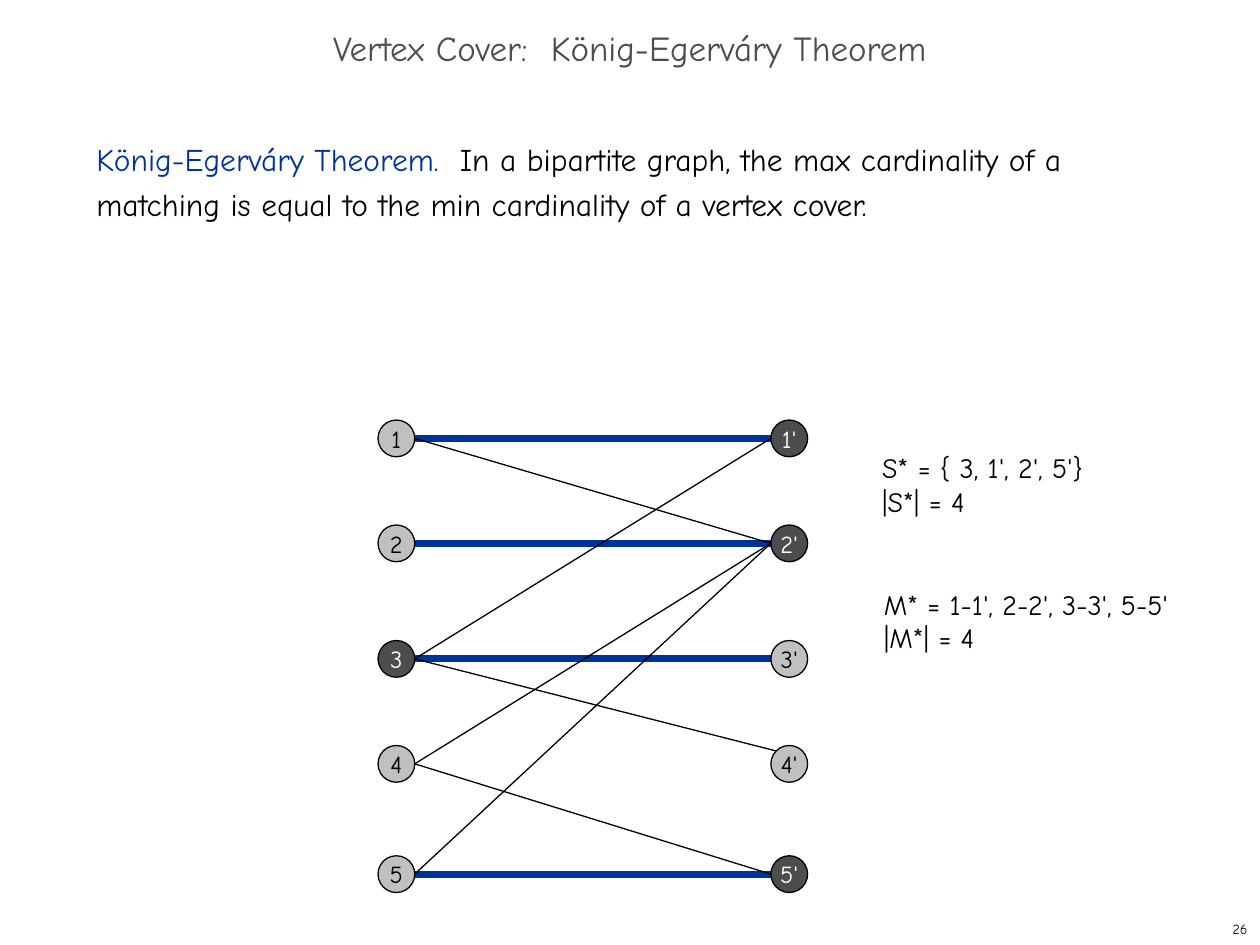
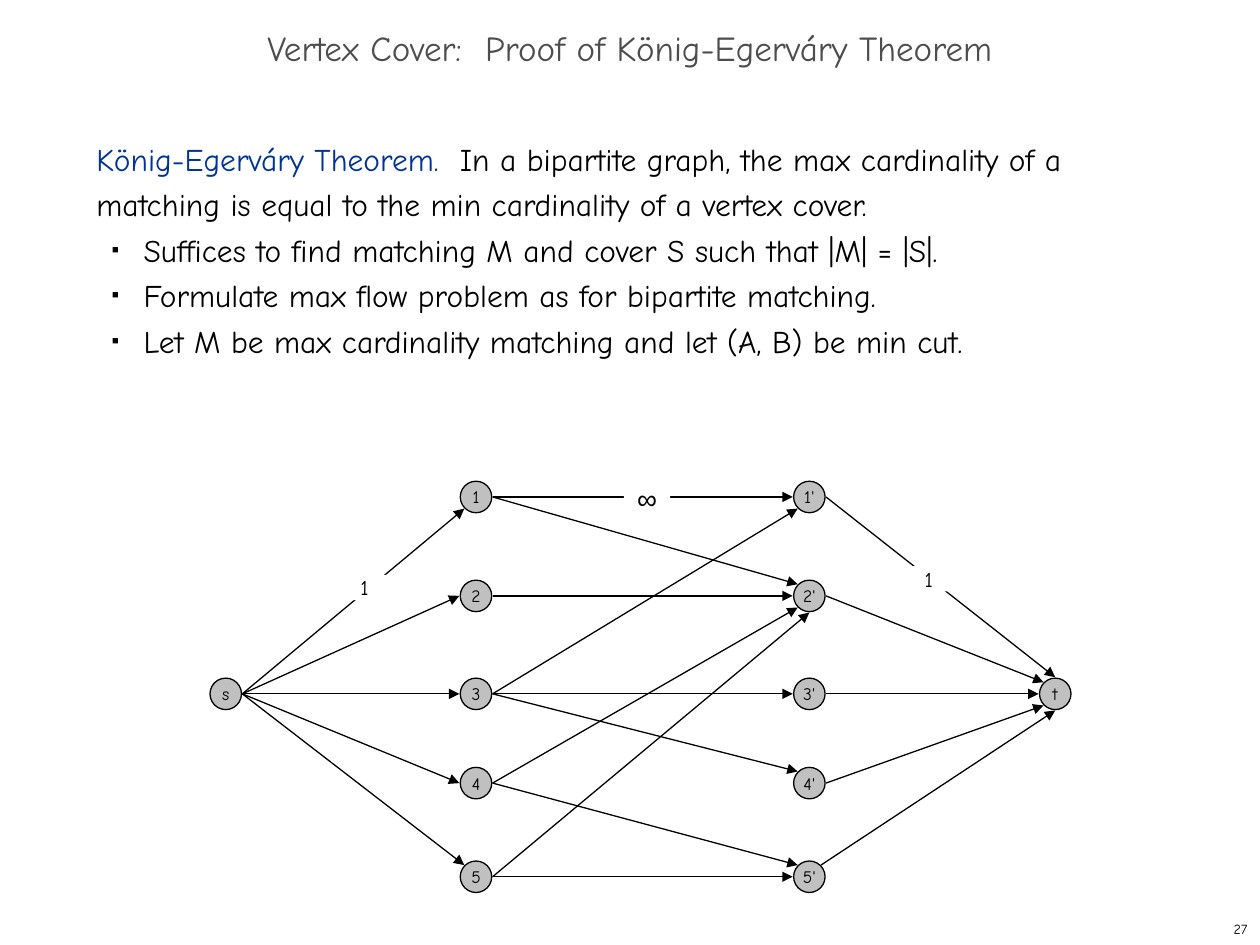
from pptx import Presentation
from pptx import util as u
from pptx.dml.color import RGBColor
from pptx.enum import shapes, text
from pptx.oxml.ns import qn
from lxml import etree

PX = 6350  # EMU per px, 144 px to the inch
FONT = "Comic Neue"
BLACK, WHITE, BLUE, DARK, GREY = "000000", "FFFFFF", "003399", "4D4D4D", "C0C0C0"
LEFT, CENTER, RIGHT = text.PP_ALIGN.LEFT, text.PP_ALIGN.CENTER, text.PP_ALIGN.RIGHT
TOP, MIDDLE = text.MSO_ANCHOR.TOP, text.MSO_ANCHOR.MIDDLE
rgb = RGBColor.from_string

# Points on a circle's rim as fractions of its radius
RIM = {"W": (-1, 0), "E": (1, 0), "N": (0, -1), "S": (0, 1),
       "NW": (-0.7, -0.7), "SW": (-0.7, 0.7), "NE": (0.7, -0.7)}


def write(sp, paras, size, color=BLACK, align=LEFT, anchor=TOP, wrap=True, font=FONT):
    """Fill sp with paragraphs, each a list of (text, colour or None) runs."""
    tf = sp.text_frame
    tf.word_wrap, tf.vertical_anchor = wrap, anchor
    for i, runs in enumerate(paras):
        p = tf.add_paragraph() if i else tf.paragraphs[0]
        p.alignment = align
        for words, tint in runs:
            r = p.add_run()
            r.text = words
            for name, value in {"name": font, "size": u.Pt(size)}.items():
                setattr(r.font, name, value)
            r.font.color.rgb = rgb(tint or color)
    return tf


def link(s, start, end, reach, leave="E", enter="W", color=BLACK, width=0.75, arrow=False):
    """Join two circle centres from rim to rim."""
    ends = [round((c + reach * k) * PX)
            for point, side in ((start, leave), (end, enter))
            for c, k in zip(point, RIM[side])]
    ln = s.shapes.add_connector(shapes.MSO_CONNECTOR.STRAIGHT, *ends)
    ln.line.color.rgb = rgb(color)
    ln.line.width = u.Pt(width)
    if arrow:
        etree.SubElement(ln.line._get_or_add_ln(), qn("a:tailEnd"), type="triangle")
    etree.SubElement(ln._element.spPr, qn("a:effectLst"))


prs = Presentation()
prs.slide_width, prs.slide_height = 1440 * PX, 1080 * PX

THEOREM = [("König-Egerváry Theorem.", BLUE),
           ("  In a bipartite graph, the max cardinality of a matching is equal to "
            "the min cardinality of a vertex cover.", None)]
PROOF = ["Suffices to find matching M and cover S such that |M| = |S|.",
         "Formulate max flow problem as for bipartite matching.",
         "Let M be max cardinality matching and let (A, B) be min cut."]
PAGES = [("Vertex Cover:  König-Egerváry Theorem", [], "26"),
         ("Vertex Cover:  Proof of König-Egerváry Theorem", PROOF, "27")]

# Title, theorem, bullets and page number
slides = []
for title, bullets, number in PAGES:
    s = prs.slides.add_slide(prs.slide_layouts[6])
    slides.append(s)
    box = s.shapes.add_textbox(0, 24 * PX, 1440 * PX, 72 * PX)
    tf = write(box, [[(title, DARK)]], 20, align=CENTER, anchor=MIDDLE)
    tf.paragraphs[0].line_spacing = 0.7

    box = s.shapes.add_textbox(96 * PX, 144 * PX, 1236 * PX, 852 * PX)
    tf = write(box, [THEOREM] + [[(b, None)] for b in bullets], 18)
    for p in tf.paragraphs:
        p.line_spacing = u.Pt(26)
    for p in tf.paragraphs[1:]:
        p.level = 1
        pPr = p._p.get_or_add_pPr()
        pPr.set("marL", str(54 * PX))
        pPr.set("indent", str(-36 * PX))
        tint = etree.SubElement(pPr, qn("a:buClr"))
        etree.SubElement(tint, qn("a:srgbClr"), val=BLACK)
        etree.SubElement(pPr, qn("a:buSzPct"), val="35000")
        etree.SubElement(pPr, qn("a:buFont"), typeface="Arial")
        etree.SubElement(pPr, qn("a:buChar"), char="■")

    box = s.shapes.add_textbox(1140 * PX, 1044 * PX, 300 * PX, 36 * PX)
    write(box, [[(number, None)]], 8, align=RIGHT, anchor=MIDDLE)

cover_slide, flow_slide = slides

# Each edge of the bipartite graph, with the side where its arrow enters
EDGES = [("1", "1'", "W"), ("1", "2'", "NW"), ("2", "2'", "W"), ("3", "3'", "W"),
         ("3", "1'", "SW"), ("3", "4'", "NW"), ("4", "2'", "SW"), ("4", "5'", "NW"),
         ("5", "2'", "S"), ("5", "5'", "W")]
MATCHING = [("1", "1'"), ("2", "2'"), ("3", "3'"), ("5", "5'")]
COVER = ["3", "1'", "2'", "5'"]

# Node centres: two facing columns, plus source and sink for the flow
graphs = []
for left, right, rows in ((453, 902, (501, 621, 753, 873, 999)),
                          (544, 925, (568, 681, 793, 895, 1002))):
    graphs.append({f"{i}{mark}": (x, y) for x, mark in ((left, ""), (right, "'"))
                   for i, y in enumerate(rows, 1)})
cover, flow = graphs
flow |= {"s": (258, 793), "t": (1206, 793)}

# Matching edges are thick and lie below the others
for a, b, _ in sorted(EDGES, key=lambda e: e[:2] not in MATCHING):
    style = {"color": BLUE, "width": 4} if (a, b) in MATCHING else {}
    link(cover_slide, cover[a], cover[b], 21, enter="NW" if b == "4'" else "W", **style)

FLOW = [(a, b, "E", side) for a, b, side in EDGES]
FLOW += [("s", str(i), "E", side) for i, side in enumerate(("SW", "W", "W", "W", "NW"), 1)]
FLOW += [(f"{i}'", "t", "NE" if i == 5 else "E", side)
         for i, side in enumerate(("N", "NW", "W", "SW", "S"), 1)]
for a, b, leave, enter in FLOW:
    link(flow_slide, flow[a], flow[b], 19, leave, enter, arrow=True)

for s, nodes, radius, size, chosen in ((cover_slide, cover, 21, 14, COVER),
                                       (flow_slide, flow, 18, 10, [])):
    for name, (x, y) in nodes.items():
        sp = s.shapes.add_shape(shapes.MSO_SHAPE.OVAL, (x - radius) * PX, (y - radius) * PX,
                                2 * radius * PX, 2 * radius * PX)
        sp.shadow.inherit = False
        sp.fill.solid()
        sp.fill.fore_color.rgb = rgb(DARK if name in chosen else GREY)
        sp.line.color.rgb = rgb(BLACK)
        sp.line.width = u.Pt(0.75)
        write(sp, [[(name, None)]], size, WHITE if name in chosen else BLACK,
              CENTER, MIDDLE, wrap=False)

# Sizes of the cover and of the matching
for x, y, w, lines in ((994, 508, 399, ("S* = { 3, 1', 2', 5'}", "|S*| = 4")),
                       (996, 664, 420, ("M* = 1-1', 2-2', 3-3', 5-5'", "|M*| = 4"))):
    box = cover_slide.shapes.add_textbox(x * PX, y * PX, w * PX, 91 * PX)
    write(box, [[(line, None)] for line in lines], 16)

# Edge capacities
for x, y, h, label, size, font in ((390, 657, 29, "1", 12, FONT),
                                   (1035, 647, 29, "1", 12, FONT),
                                   (713, 550, 39, "∞", 16, "Arial")):
    box = flow_slide.shapes.add_textbox(x * PX, y * PX, 53 * PX, h * PX)
    box.fill.solid()
    box.fill.fore_color.rgb = rgb(WHITE)
    tf = write(box, [[(label, None)]], size, align=CENTER, font=font)
    for side in ("left", "right", "top", "bottom"):
        setattr(tf, f"margin_{side}", 0)

prs.save("out.pptx")
